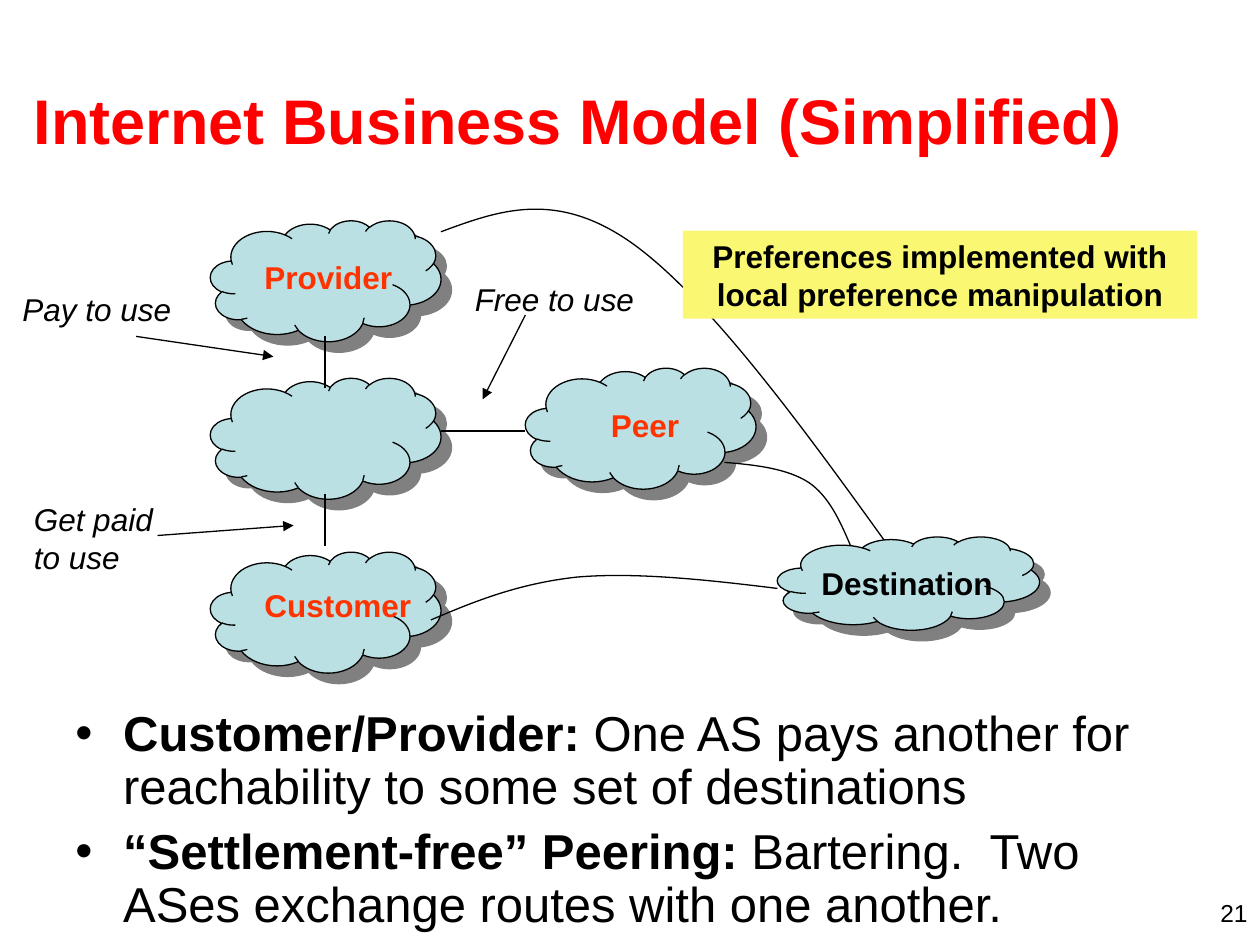
from pptx import Presentation
from pptx.dml.color import RGBColor
from pptx.enum.shapes import MSO_CONNECTOR, MSO_SHAPE
from pptx.enum.text import MSO_ANCHOR, PP_ALIGN
from pptx.oxml import parse_xml
from pptx.oxml.ns import nsdecls, qn
from pptx.oxml.xmlchemy import OxmlElement
from pptx.util import Inches, Pt

FONT = "Arial"
BLACK, RED, ORANGE = "000000", "FF0000", "FF3300"
CLOUD_BLUE, NOTE_YELLOW = "BBE0E3", "FAF772"
CLOUD_SIZE = (1.83, 0.96)


def color(value):
    return RGBColor.from_string(value)


def style_font(font, size, hex_color=BLACK, bold=False, italic=False):
    font.name, font.size = FONT, Pt(size)
    font.bold, font.italic = bold, italic
    font.color.rgb = color(hex_color)


def style_line(line):
    line.color.rgb = color(BLACK)
    line.width = Pt(0.75)


def write_text(shape, text, size, align=PP_ALIGN.LEFT, anchor=MSO_ANCHOR.TOP, **style):
    frame = shape.text_frame
    frame.word_wrap = True
    frame.vertical_anchor = anchor
    frame.text = text
    para = frame.paragraphs[0]
    para.alignment = align
    style_font(para.runs[0].font, size, **style)


def add_text(page, text, left, top, width, height, size=18, **style):
    box = page.shapes.add_textbox(*map(Inches, (left, top, width, height)))
    write_text(box, text, size, **style)


def add_cloud(page, left, top, width, height):
    cloud = page.shapes.add_shape(MSO_SHAPE.CLOUD, *map(Inches, (left, top, width, height)))
    cloud.fill.solid()
    cloud.fill.fore_color.rgb = color(CLOUD_BLUE)
    style_line(cloud.line)
    # Solid grey shadow down and to the right
    cloud.element.spPr.append(parse_xml(
        f'<a:effectLst {nsdecls("a")}>'
        f'<a:outerShdw dist="{Pt(8.5)}" dir="2700000" algn="ctr" rotWithShape="0">'
        '<a:srgbClr val="808080"/></a:outerShdw></a:effectLst>'))


def add_curve(page, *points):
    """Draw cubic curves: a start, then two control points and an end for each."""
    start, *rest = [(Inches(x), Inches(y)) for x, y in points]
    builder = page.shapes.build_freeform(*start)
    builder.add_line_segments(rest, close=False)
    shape = builder.convert_to_shape()
    shape.shadow.inherit = False
    shape.fill.background()
    style_line(shape.line)
    # Turn each three straight segments into one curve
    segments = list(shape.element.iter(qn("a:lnTo")))
    outline = segments[0].getparent()
    for first in range(0, len(segments), 3):
        bezier = OxmlElement("a:cubicBezTo")
        for segment in segments[first:first + 3]:
            bezier.append(segment[0])
            outline.remove(segment)
        outline.append(bezier)


def add_line(page, start, end, arrow=False):
    line = page.shapes.add_connector(MSO_CONNECTOR.STRAIGHT, *map(Inches, (*start, *end)))
    style_line(line.line)
    if arrow:
        head = OxmlElement("a:tailEnd")
        head.set("type", "triangle")
        line.element.spPr.find(qn("a:ln")).append(head)
    line.element.spPr.append(OxmlElement("a:effectLst"))


def add_note(page, text, left, top, width, height):
    note = page.shapes.add_shape(MSO_SHAPE.RECTANGLE, *map(Inches, (left, top, width, height)))
    note.shadow.inherit = False
    note.fill.solid()
    note.fill.fore_color.rgb = color(NOTE_YELLOW)
    note.line.fill.background()
    write_text(note, text, 18, align=PP_ALIGN.CENTER, bold=True)


def add_bullets(page, items, left, top, width, height):
    box = page.shapes.add_textbox(*map(Inches, (left, top, width, height)))
    frame = box.text_frame
    frame.word_wrap = True
    for index, (term, explanation) in enumerate(items):
        para = frame.add_paragraph() if index else frame.paragraphs[0]
        para.line_spacing = 0.9
        if index:
            para.space_before = Pt(7)
        properties = para._p.get_or_add_pPr()
        properties.set("marL", str(Inches(0.38)))
        properties.set("indent", str(-Inches(0.38)))
        for tag, key, value in (("a:buFont", "typeface", FONT), ("a:buChar", "char", "•")):
            bullet = OxmlElement(tag)
            bullet.set(key, value)
            properties.append(bullet)
        for text, bold in ((term, True), (explanation, False)):
            span = para.add_run()
            span.text = text
            style_font(span.font, 28, bold=bold)


def main():
    deck = Presentation()
    deck.slide_width, deck.slide_height = Inches(10), Inches(7.5)
    page = deck.slides.add_slide(deck.slide_layouts[6])

    # Route from provider to destination, behind everything else
    add_curve(page, (3.5, 1.84), (3.96, 1.67), (4.42, 1.5), (5.03, 1.94),
              (5.65, 2.39), (6.41, 3.44), (7.17, 4.5))

    add_text(page, "Internet Business Model (Simplified)", 0.17, 0.32, 9.58, 1.25,
             size=36, hex_color=RED, bold=True, anchor=MSO_ANCHOR.MIDDLE)
    add_bullets(page, [
        ("Customer/Provider:",
         " One AS pays another for reachability to some set of destinations"),
        ("“Settlement-free” Peering: ",
         "Bartering.  Two ASes exchange routes with one another."),
    ], 0.5, 5.58, 9, 2.03)

    # Networks
    for left, top in ((1.67, 3), (4.17, 2.92), (1.67, 1.75), (1.67, 4.38)):
        add_cloud(page, left, top, *CLOUD_SIZE)
    for name, left, top, width in (("Provider", 2, 2, 1.25), ("Peer", 4.75, 3.17, 1.25),
                                   ("Customer", 2, 4.6, 1.5)):
        add_text(page, name, left, top, width, 0.4, hex_color=ORANGE, bold=True)

    # Links between neighbours
    add_line(page, (2.58, 2.67), (2.58, 3.08))
    add_line(page, (2.58, 3.92), (2.58, 4.33))
    add_line(page, (3.5, 3.42), (4.17, 3.42))

    add_note(page, "Preferences implemented with local preference manipulation",
             5.42, 1.83, 4.08, 0.7)

    # Destination and the routes from peer and customer
    add_cloud(page, 6.17, 4.26, 2.08, 0.74)
    add_curve(page, (5.75, 3.67), (6, 3.69), (6.25, 3.72), (6.42, 3.83),
              (6.58, 3.94), (6.67, 4.14), (6.75, 4.33))
    add_curve(page, (3.42, 4.92), (3.77, 4.77), (4.12, 4.63), (4.58, 4.58),
              (5.04, 4.54), (5.6, 4.6), (6.17, 4.67))
    add_text(page, "Destination", 6.42, 4.43, 1.75, 0.4, bold=True)

    # Cost labels with their arrows
    add_text(page, "Pay to use", 0.08, 2.25, 1.42, 0.4, italic=True)
    add_text(page, "Get paid to use", 0.17, 3.92, 1.35, 0.7, italic=True)
    add_text(page, "Free to use", 3.67, 2.17, 1.67, 0.4, italic=True)
    add_line(page, (1.08, 2.67), (2.17, 2.83), arrow=True)
    add_line(page, (1.25, 4.25), (2.33, 4.17), arrow=True)
    add_line(page, (4.17, 2.5), (3.83, 3.17), arrow=True)

    # Page number
    add_text(page, "21", 7.67, 7.08, 2.33, 0.25, size=14, align=PP_ALIGN.RIGHT)

    deck.save("out.pptx")


if __name__ == "__main__":
    main()
